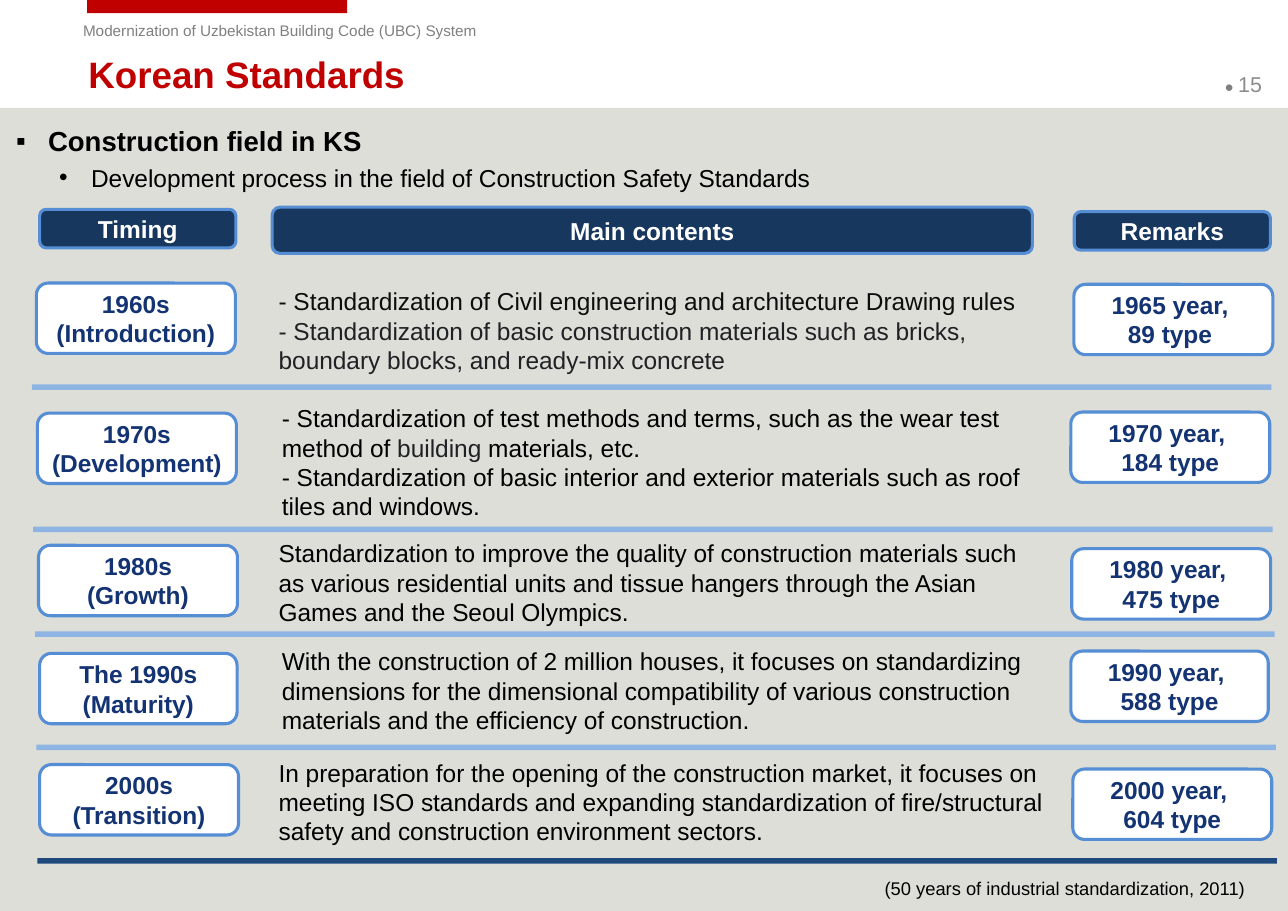
from collections import namedtuple
from dataclasses import dataclass
from pptx import Presentation
from pptx.dml.color import RGBColor
from pptx.enum.shapes import MSO_SHAPE
from pptx.enum.text import MSO_ANCHOR, MSO_AUTO_SIZE, PP_ALIGN
from pptx.oxml import parse_xml
from pptx.oxml.ns import nsdecls
from pptx.util import Pt

RECT, ROUND = MSO_SHAPE.RECTANGLE, MSO_SHAPE.ROUNDED_RECTANGLE
TOP, MID = MSO_ANCHOR.TOP, MSO_ANCHOR.MIDDLE
LEFT, CENTER = PP_ALIGN.LEFT, PP_ALIGN.CENTER
FIXED = MSO_AUTO_SIZE.NONE

Box = namedtuple("Box", "x y w h")
Row = namedtuple("Row", "box era main note rule")
Part = namedtuple("Part", "dx dy w text")


@dataclass(frozen=True)
class Theme:
    """Colours, font and type sizes of the slide."""
    font: str = "Arial"
    page: str = "DEDED8"
    red: str = "C00000"
    gray: str = "808080"
    pale: str = "8C8C8C"
    white: str = "FFFFFF"
    black: str = "000000"
    ink: str = "0D0D0D"
    soft: str = "202124"
    navy: str = "17375E"
    label: str = "143372"
    edge: str = "558ED5"
    rule: str = "8EB4E3"
    close: str = "1F497D"
    title: int = 24
    head: int = 18
    body: int = 16
    page_no: int = 14
    foot: int = 12
    small: int = 10


T = Theme()
ROWS = [
    Row(Box(23.8, 185, 810, 66.3), ["1960s", "(Introduction)"],
        Part(151.2, -1.4, 504, [
            [("- Standardization of Civil engineering and architecture Drawing rules", T.ink)],
            [("- Standardization of basic construction materials such as bricks, "
              "boundary blocks, and ready-mix concrete", T.soft)]]),
        Part(678, 0.8, 130, ["1965 year, ", "89 type "]), (-2.9, T.rule)),
    Row(Box(24.5, 270, 810, 74.2), ["1970s", "(Development)"],
        Part(152.6, -10, 498.2, [
            [("- Standardization of test methods and terms, such as the wear test method of ", T.black),
             ("building", T.soft), (" materials, etc.", T.black)],
            [("- Standardization of basic interior and exterior materials such as roof "
              "tiles and windows.", T.black)]]),
        Part(675.3, -0.7, 130, ["1970 year, ", "184 type"]), (-2.9, T.rule)),
    Row(Box(25.2, 356.4, 810, 56.2), ["1980s", "(Growth)"],
        Part(149.8, -8, 500.4, [
            [("Standardization to improve the quality of construction materials such as various "
              "residential units and tissue hangers through the Asian Games and the Seoul Olympics.",
              T.black)]]),
        Part(675.2, 2.2, 130, ["1980 year, ", "475 type"]), (-2.2, T.rule)),
    Row(Box(25.9, 427, 810, 59.7), ["The 1990s", "(Maturity)"],
        Part(151.2, -8, 504.7, [
            [("With the construction of 2 million houses, it focuses on standardizing dimensions "
              "for the dimensional compatibility of various construction materials and the "
              "efficiency of construction.", T.black)]]),
        Part(673.9, -1.5, 129, ["1990 year, ", "588 type"]), (-2.1, T.rule)),
    Row(Box(25.9, 499.7, 810, 61.2), ["2000s", "(Transition)"],
        Part(149.1, -8, 522, [
            [("In preparation for the opening of the construction market, it focuses on meeting "
              "ISO standards and expanding standardization of fire/structural safety and "
              "construction environment sectors.", T.black)]]),
        Part(675.2, 2.9, 130, ["2000 year, ", "604 type"]), (-1.4, T.close)),
]


def place(box):
    """Turn a box in points into lengths."""
    return [Pt(v) for v in box]


def add_run(para, text, size, color, bold=False):
    """Add one styled run."""
    run = para.add_run()
    run.text = text
    font = run.font
    font.name, font.size, font.bold = T.font, Pt(size), bold
    font.color.rgb = RGBColor.from_string(color)


def set_frame(frame, anchor=TOP, side=7.2, edge=3.6):
    """Set wrapping, anchor and insets of a text frame."""
    frame.word_wrap, frame.auto_size = True, FIXED
    frame.vertical_anchor = anchor
    frame.margin_left = frame.margin_right = Pt(side)
    frame.margin_top = frame.margin_bottom = Pt(edge)


def add_text(slide, box, paras, size):
    """Add a text box from paragraphs of (text, colour) runs."""
    frame = slide.shapes.add_textbox(*place(box)).text_frame
    set_frame(frame)
    for i, runs in enumerate(paras):
        para = frame.add_paragraph() if i else frame.paragraphs[0]
        for text, color in runs:
            add_run(para, text, size, color)


def add_block(slide, box, fill, kind=RECT):
    """Add a plain filled shape."""
    shape = slide.shapes.add_shape(kind, *place(box))
    shape.shadow.inherit = False
    shape.fill.solid()
    shape.fill.fore_color.rgb = RGBColor.from_string(fill)
    shape.line.fill.background()
    return shape


def add_chip(slide, box, lines, fill, color):
    """Add an outlined rounded label with centred bold lines."""
    shape = add_block(slide, box, fill, ROUND)
    shape.line.color.rgb = RGBColor.from_string(T.edge)
    shape.line.width = Pt(2)
    frame = shape.text_frame
    set_frame(frame, MID, side=3.6)
    for i, line in enumerate(lines):
        para = frame.add_paragraph() if i else frame.paragraphs[0]
        para.alignment = CENTER
        add_run(para, line, T.body, color, True)


def add_banner(slide, box):
    """Draw the top band with its title and page number."""
    x, y, w, h = box
    add_block(slide, Box(x + 56.9, y, 170, 8.6), T.red)
    add_text(slide, Box(x + 47.2, y + 10.1, 337, 19.4),
             [[("Modernization of Uzbekistan Building Code (UBC) System", T.gray)]], T.small)
    title = slide.shapes.title
    title.left, title.top, title.width, title.height = place(Box(x + 49.9, y + 33.8, 750, 28.8))
    set_frame(title.text_frame, MID, 7.9, 4.3)
    para = title.text_frame.paragraphs[0]
    para.alignment = LEFT
    add_run(para, "Korean Standards", T.title, T.red, True)
    number = slide.shapes.add_textbox(*place(Box(x + w - 49.3, y + h - 31.7, 49.3, 31.7))).text_frame
    set_frame(number, MID, 7.9, 4.3)
    para = number.paragraphs[0]
    add_run(para, "● ", T.small, T.gray)
    add_run(para, "15", T.page_no, T.pale)


def add_intro(slide, box):
    """Write the bulleted heading and its sub-point."""
    frame = slide.shapes.add_textbox(*place(box)).text_frame
    set_frame(frame, TOP, 7.9, 4.3)
    points = [("▪", 20.9, "Construction field in KS", T.head, True),
              ("•", 49, "Development process in the field of Construction Safety Standards",
               T.body, False)]
    for i, (mark, indent, text, size, bold) in enumerate(points):
        para = frame.add_paragraph() if i else frame.paragraphs[0]
        props = para._p.get_or_add_pPr()
        props.set("marL", str(Pt(indent)))
        props.set("indent", str(-Pt(20.9)))
        props.append(parse_xml(f'<a:buFont {nsdecls("a")} typeface="{T.font}"/>'))
        props.append(parse_xml(f'<a:buChar {nsdecls("a")} char="{mark}"/>'))
        if i:
            para.space_before = Pt(3.6)
        add_run(para, text, size, T.black, bold)


def add_heads(slide, box):
    """Draw the three column heads."""
    x, y = box.x, box.y
    for text, dx, dy, w, h in [("Timing", 0, 1.4, 128.2, 25.2),
                               ("Main contents", 152, 0, 496.8, 30.2),
                               ("Remarks", 676.1, 2.9, 128.2, 25.2)]:
        add_chip(slide, Box(x + dx, y + dy, w, h), [text], T.navy, T.white)


def add_row(slide, row):
    """Draw one decade: label, contents, remark and rule below."""
    x, y, w, h = row.box
    main, note = row.main, row.note
    add_chip(slide, Box(x, y, note.w, 46), row.era, T.white, T.label)
    add_text(slide, Box(x + main.dx, y + main.dy, main.w, 65.5), main.text, T.body)
    add_chip(slide, Box(x + note.dx, y + note.dy, note.w, 46), note.text, T.white, T.label)
    dx, color = row.rule
    add_block(slide, Box(x + dx, y + h, w, 3.6), color)


def main():
    """Build and save the slide."""
    deck = Presentation()
    deck.slide_width, deck.slide_height = Pt(841.7), Pt(595.4)
    slide = deck.slides.add_slide(deck.slide_layouts[5])
    add_block(slide, Box(0, 70.6, 841.7, 524.8), T.page)
    add_banner(slide, Box(0, 0, 841.7, 70.6))
    add_intro(slide, Box(2.6, 76.8, 819, 54))
    add_heads(slide, Box(25.9, 135.4, 804.3, 30.2))
    for row in ROWS:
        add_row(slide, row)
    add_text(slide, Box(571, 570, 270.7, 21.6),
             [[("(50 years of industrial standardization, 2011)", T.black)]], T.foot)
    deck.save("out.pptx")


if __name__ == "__main__":
    main()
